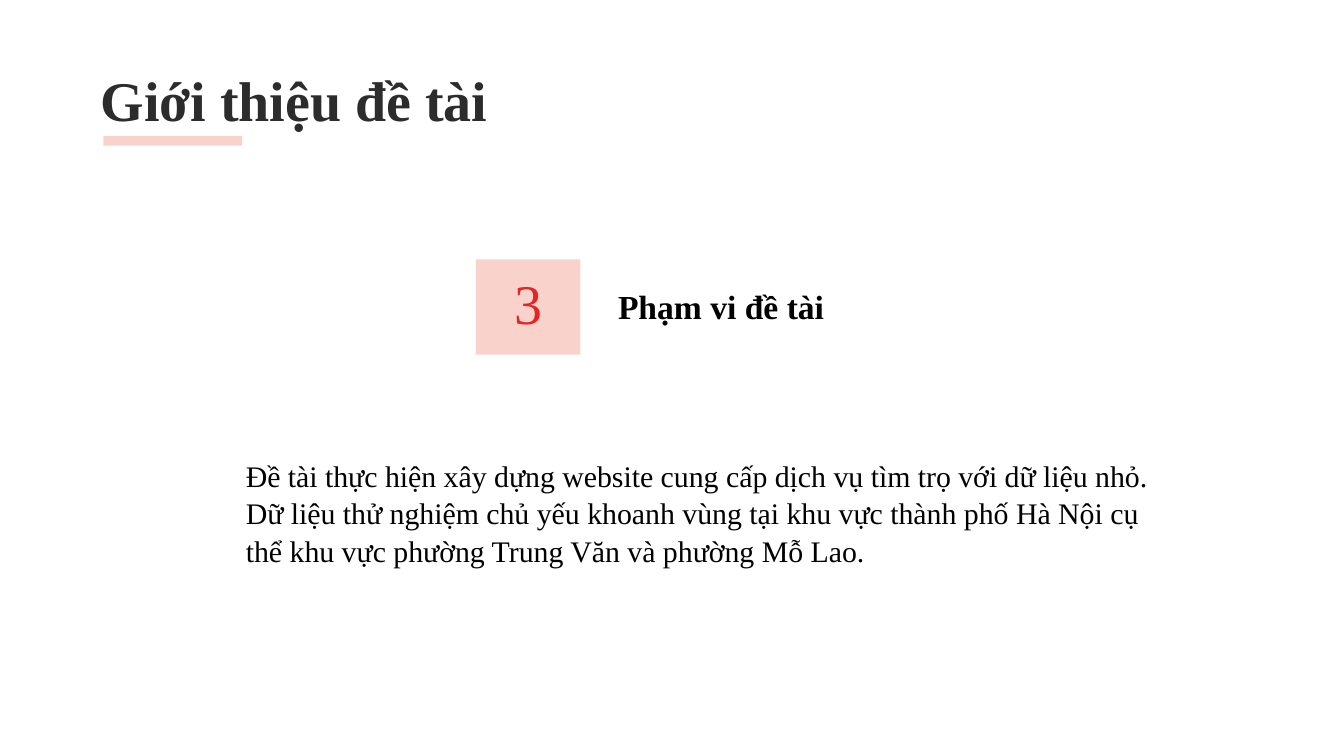
from lxml import etree
from pptx import Presentation
from pptx.dml.color import RGBColor
from pptx.enum.text import MSO_ANCHOR, PP_ALIGN
from pptx.oxml.ns import qn
from pptx.util import Pt

TOP, MIDDLE, BOTTOM = MSO_ANCHOR.TOP, MSO_ANCHOR.MIDDLE, MSO_ANCHOR.BOTTOM
LEFT, CENTER = PP_ALIGN.LEFT, PP_ALIGN.CENTER
FONT = "Times New Roman"
DARK = RGBColor(0x2C, 0x2C, 0x2C)
BLACK = RGBColor(0, 0, 0)
RED = RGBColor(0xE4, 0x25, 0x24)
PINK = RGBColor(0xF4, 0xAA, 0x9E)
SCOPE = [
    "Đề tài thực hiện xây dựng website cung cấp dịch vụ tìm trọ với dữ liệu nhỏ.",
    "Dữ liệu thử nghiệm chủ yếu khoanh vùng tại khu vực thành phố Hà Nội cụ thể "
    "khu vực phường Trung Văn và phường Mỗ Lao.",
]


def place(shape, x, y, w, h):
    """Move and size a shape, in points."""
    shape.left, shape.top, shape.width, shape.height = Pt(x), Pt(y), Pt(w), Pt(h)


def write(shape, lines, size, color, bold=False, anchor=TOP, align=LEFT, pad=7.2, space=None):
    """Fill a shape with paragraphs of one style."""
    frame = shape.text_frame
    frame.word_wrap = True
    frame.vertical_anchor = anchor
    frame.margin_left = frame.margin_right = Pt(7.2)
    frame.margin_top = frame.margin_bottom = Pt(pad)
    frame.text = "\n".join(lines)
    for para in frame.paragraphs:
        para.alignment = align
        para.line_spacing = space
        font = para.font
        font.name, font.size, font.bold = FONT, Pt(size), bold
        font.color.rgb = color


def add_text(slide, box, lines, size, color, **style):
    """Add a text box at the given box."""
    shape = slide.shapes.add_textbox(*map(Pt, box))
    write(shape, lines, size, color, **style)


def add_block(slide, x, y, w, h):
    """Add a half-clear pink rectangle."""
    block = slide.shapes.add_shape(1, Pt(x), Pt(y), Pt(w), Pt(h))
    block.shadow.inherit = False
    block.line.fill.background()
    block.fill.solid()
    block.fill.fore_color.rgb = PINK
    tint = block.fill._xPr.find(qn("a:solidFill"))[0]
    etree.SubElement(tint, qn("a:alpha")).set("val", "52000")


def add_head(slide, x, y, w, h):
    """Set the title and its underline."""
    title = slide.shapes.title
    place(title, x, y, w, h)
    write(title, ["Giới thiệu đề tài"], 30, DARK, bold=True)
    add_block(slide, x + 8.6, y + h - 0.5, 74.3, 5.2)


def add_topic(slide, x, y, w, h):
    """Add the numbered square with its heading beside it."""
    side = 56
    add_block(slide, x, y, side, h)
    add_text(slide, (x + 12, y + 8, side - 24, 30), ["3"], 30, RED,
             anchor=MIDDLE, align=CENTER)
    add_text(slide, (x + 69, y + 20, w - 69, 23), ["Phạm vi đề tài"], 18, BLACK,
             bold=True, anchor=BOTTOM)


def main():
    """Build and save the slide."""
    deck = Presentation()
    deck.slide_width, deck.slide_height = Pt(720), Pt(405)
    slide = deck.slides.add_slide(deck.slide_layouts[5])
    add_head(slide, 46.8, 28, 671, 45.4)
    add_topic(slide, 255, 139, 300, 51)
    add_text(slide, (124.6, 240.5, 504.7, 65.5), SCOPE, 16, BLACK, pad=3.6, space=1.05)
    deck.save("out.pptx")


if __name__ == "__main__":
    main()
